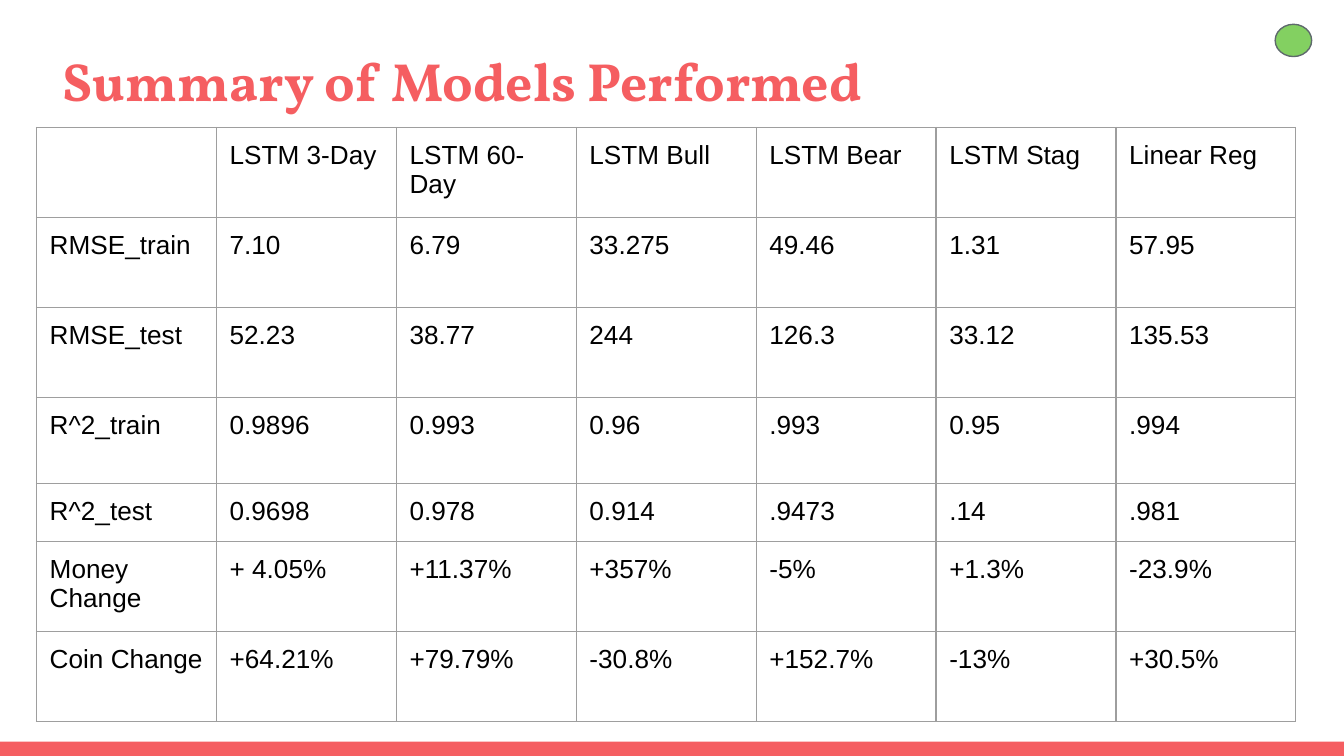
import pptx
import pptx.dml.color
import pptx.enum.shapes
import pptx.enum.text
import pptx.oxml
import pptx.oxml.ns
import pptx.util
from pptx.util import Cm

HUES = {"coral": "F55E61", "green": "83D061", "slate": "5E696C",
        "grey": "9E9E9E", "black": "000000"}
ROWS = [
    ["", "LSTM 3-Day", "LSTM 60-Day", "LSTM Bull", "LSTM Bear", "LSTM Stag", "Linear Reg"],
    ["RMSE_train", "7.10", "6.79", "33.275", "49.46", "1.31", "57.95"],
    ["RMSE_test", "52.23", "38.77", "244", "126.3", "33.12", "135.53"],
    ["R^2_train", "0.9896", "0.993", "0.96", ".993", "0.95", ".994"],
    ["R^2_test", "0.9698", "0.978", "0.914", ".9473", ".14", ".981"],
    ["Money Change", "+ 4.05%", "+11.37%", "+357%", "-5%", "+1.3%", "-23.9%"],
    ["Coin Change", "+64.21%", "+79.79%", "-30.8%", "+152.7%", "-13%", "+30.5%"],
]
TALL = [1.7, 1.7, 1.7, 1.63, 1.09, 1.7, 1.7]
INSET = Cm(0.25)


def tint(name):
    """Return the named colour."""
    return pptx.dml.color.RGBColor.from_string(HUES[name])


def style(para, face, size, hue, bold=False):
    """Set the font of a paragraph."""
    font = para.font
    font.name, font.size, font.bold = face, pptx.util.Pt(size), bold
    font.color.rgb = tint(hue)


def add_form(slide, box, kind, fill, line=None):
    """Add a filled shape, outlined if a line colour is given."""
    form = slide.shapes.add_shape(kind, *box)
    form.shadow.inherit = False
    form.fill.solid()
    form.fill.fore_color.rgb = tint(fill)
    if line:
        form.line.color.rgb = tint(line)
        form.line.width = pptx.util.Pt(0.75)
    else:
        form.line.fill.background()


def add_title(slide, box, text):
    """Add the heading in its box."""
    frame = slide.shapes.add_textbox(*box).text_frame
    frame.word_wrap = True
    frame.vertical_anchor = pptx.enum.text.MSO_ANCHOR.TOP
    frame.margin_left = frame.margin_right = INSET
    frame.margin_top = frame.margin_bottom = INSET
    frame.text = text
    style(frame.paragraphs[0], "Vollkorn", 28.8, "coral", True)


def add_edges(cell):
    """Draw thin grey borders on all sides of a cell."""
    props = cell._tc.get_or_add_tcPr()
    for spot, side in enumerate(("lnL", "lnR", "lnT", "lnB")):
        props.insert(spot, pptx.oxml.parse_xml(
            f'<a:{side} {pptx.oxml.ns.nsdecls("a")} w="9525"><a:solidFill>'
            f'<a:srgbClr val="{HUES["grey"]}"/></a:solidFill></a:{side}>'))


def add_grid(slide, box, rows, tall):
    """Add the table of results with equal columns."""
    left, top, width, height = box
    count = len(rows[0])
    grid = slide.shapes.add_table(len(rows), count, left, top, width, height).table
    grid.first_row = grid.horz_banding = False
    for col in grid.columns:
        col.width = width // count
    for row, size, texts in zip(grid.rows, tall, rows):
        row.height = Cm(size)
        for cell, text in zip(row.cells, texts):
            cell.text = text
            cell.margin_left = cell.margin_right = INSET
            cell.margin_top = cell.margin_bottom = INSET
            cell.fill.background()
            add_edges(cell)
            style(cell.text_frame.paragraphs[0], "Arial", 14, "black")


def add_summary(deck):
    """Build the summary slide."""
    kinds = pptx.enum.shapes.MSO_SHAPE
    slide = deck.slides.add_slide(deck.slide_layouts[6])
    wide, high, foot = deck.slide_width, deck.slide_height, Cm(0.27)
    add_form(slide, (0, high - foot, wide, foot), kinds.RECTANGLE, "coral")
    add_title(slide, (Cm(0.94), Cm(0.66), Cm(23.67), Cm(1.73)),
              "Summary of Models Performed")
    add_grid(slide, (Cm(0.69), Cm(2.41), Cm(23.8), Cm(sum(TALL))), ROWS, TALL)
    add_form(slide, (Cm(24.1), Cm(0.46), Cm(0.69), Cm(0.61)),
             kinds.OVAL, "green", "slate")


def main():
    """Make and save the deck."""
    deck = pptx.Presentation()
    deck.slide_width, deck.slide_height = Cm(25.4), Cm(14.29)
    add_summary(deck)
    deck.save("out.pptx")


if __name__ == "__main__":
    main()
